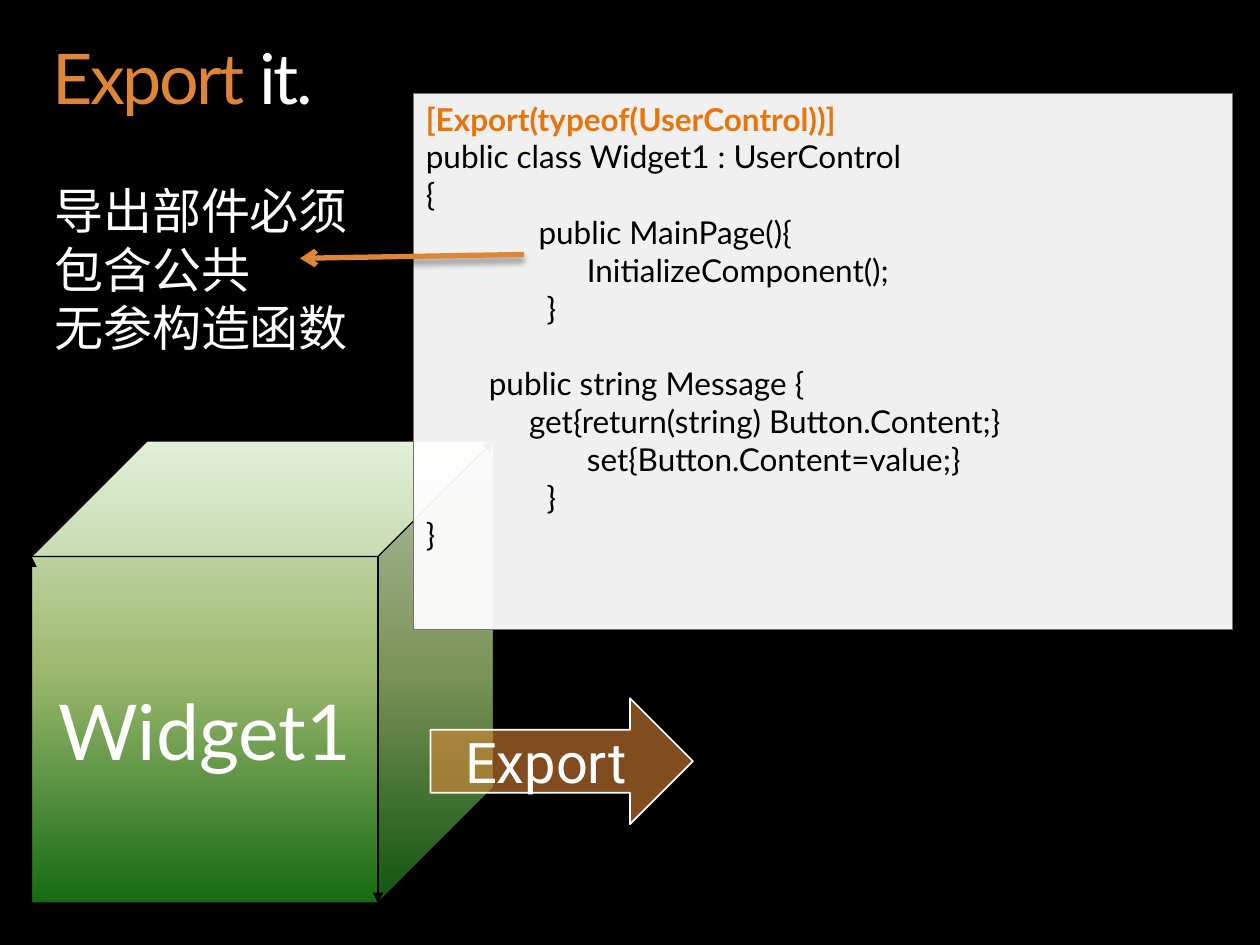
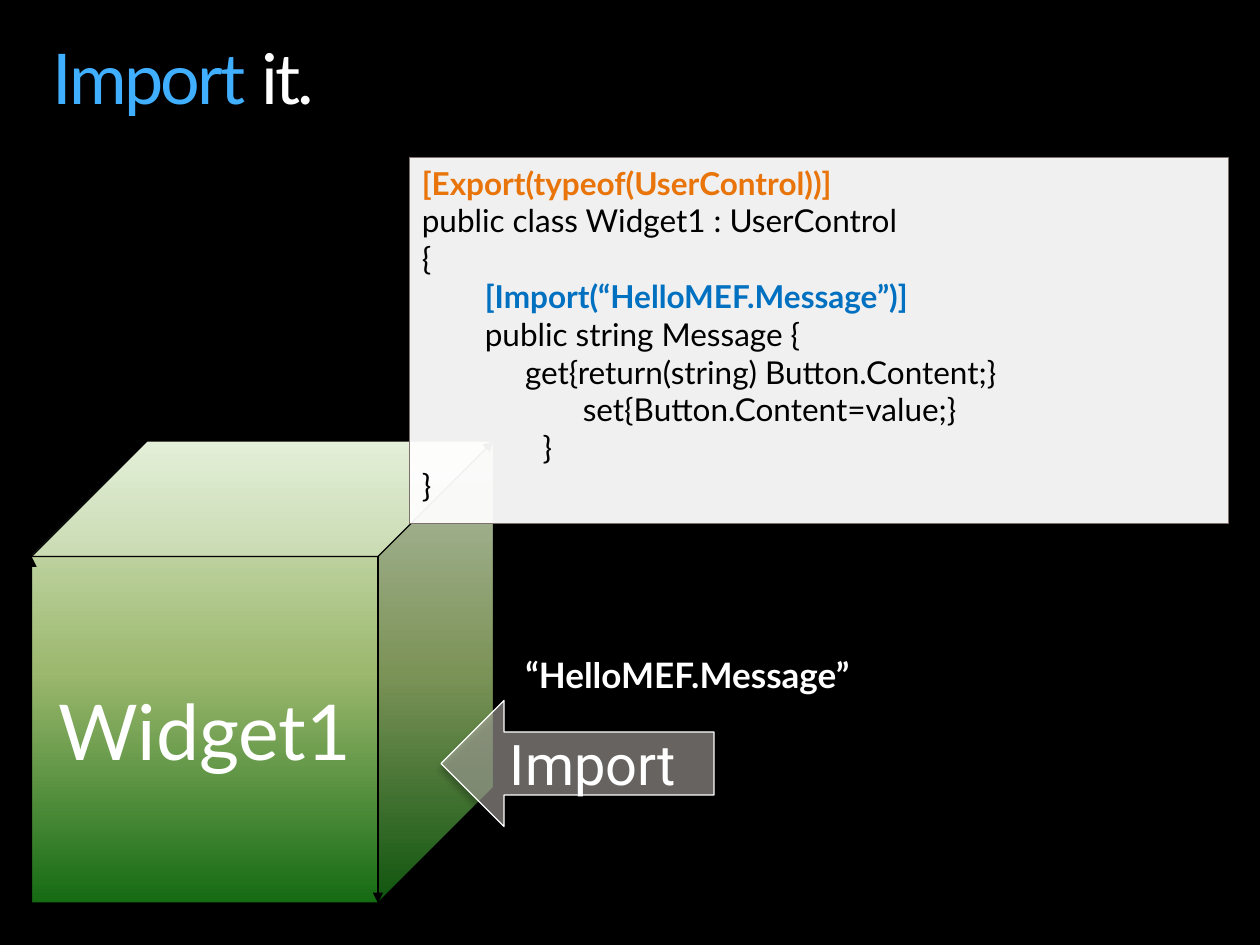
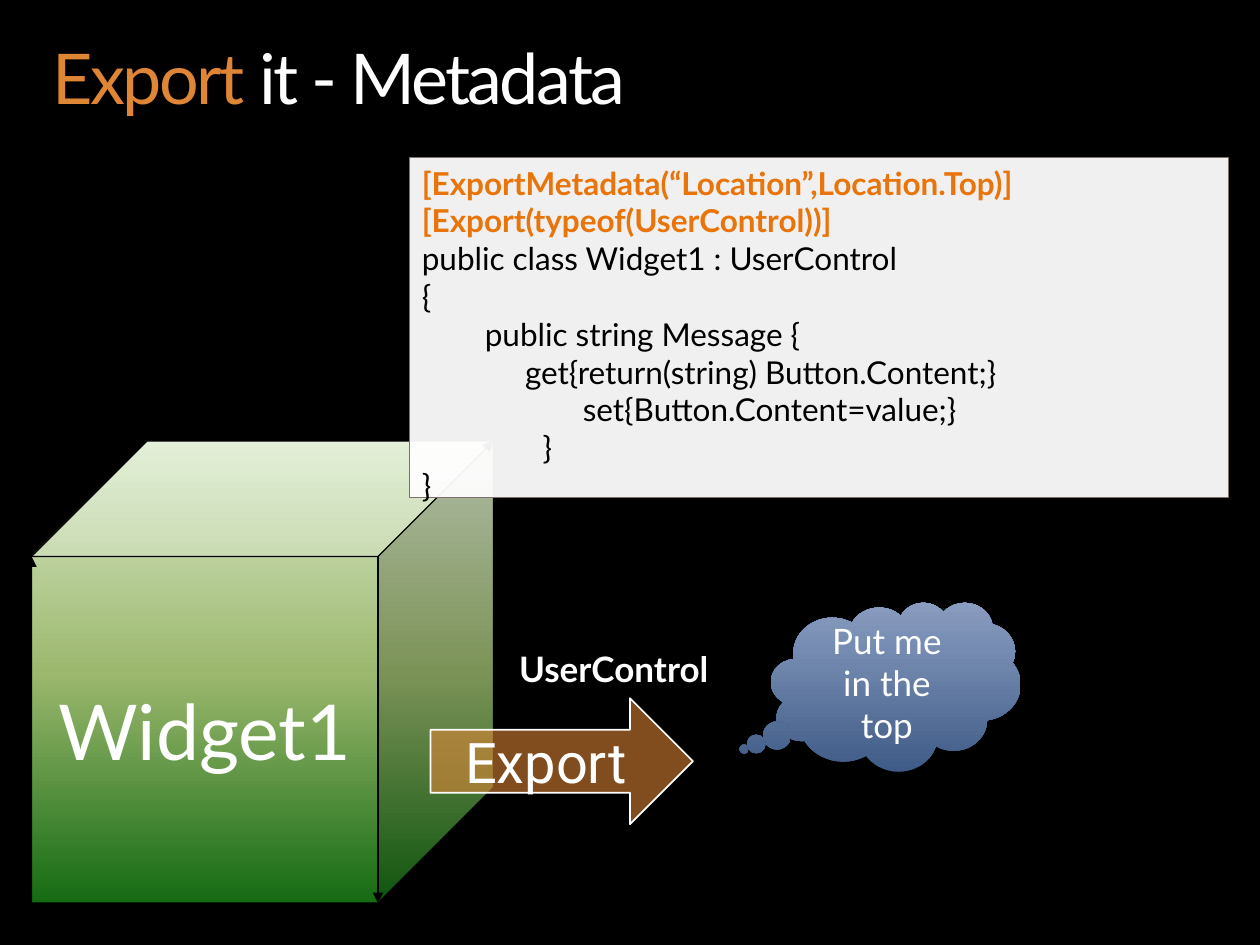
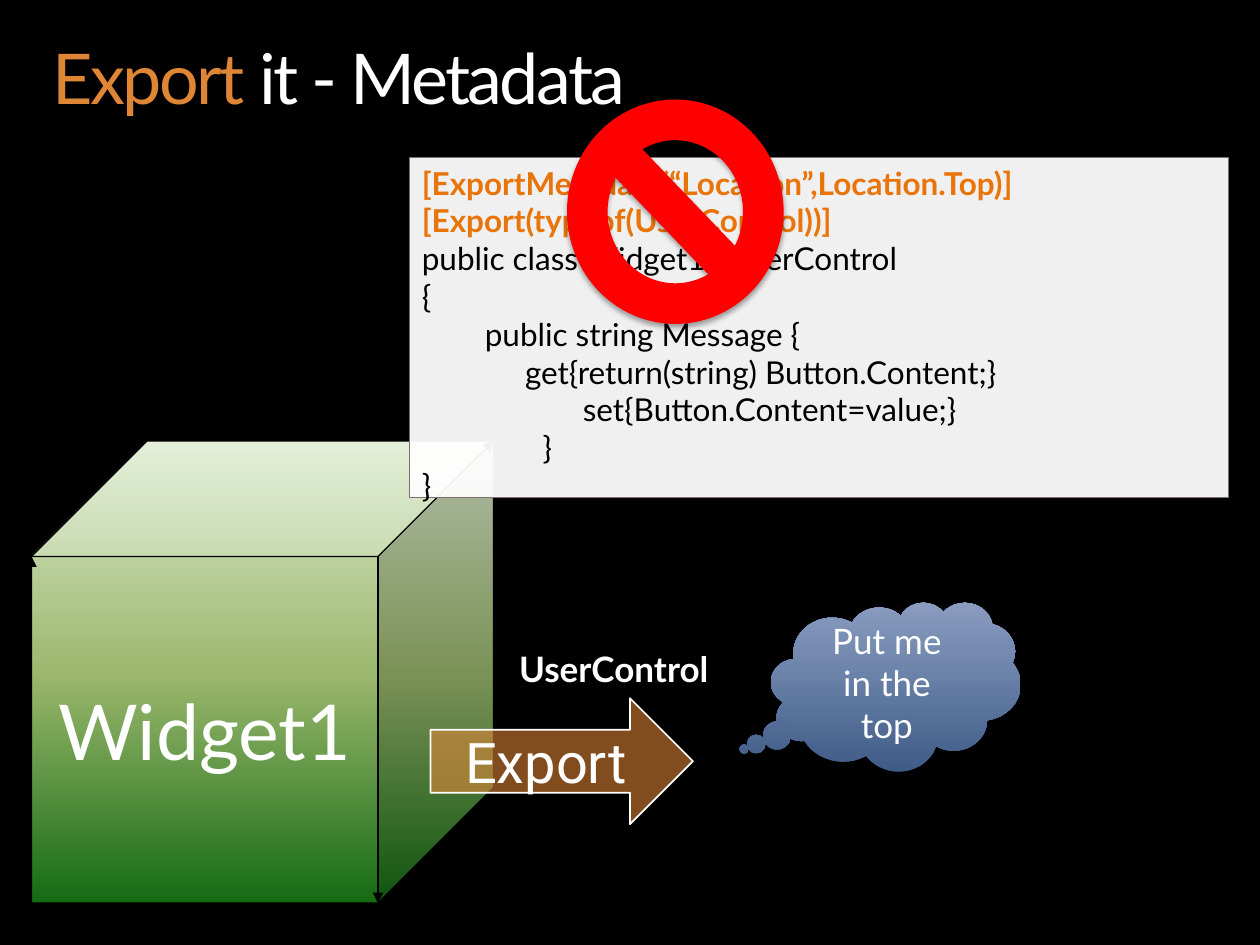
from lxml import etree
from pptx import Presentation
from pptx.dml.color import RGBColor
from pptx.enum.shapes import MSO_CONNECTOR, MSO_SHAPE
from pptx.enum.text import MSO_ANCHOR, MSO_AUTO_SIZE, PP_ALIGN
from pptx.oxml import parse_xml
from pptx.oxml.ns import nsdecls, qn
from pptx.util import Pt

RECTANGLE = MSO_SHAPE.RECTANGLE
CUBE = MSO_SHAPE.CUBE
LEFT_ARROW = MSO_SHAPE.LEFT_ARROW
RIGHT_ARROW = MSO_SHAPE.RIGHT_ARROW
CLOUD = MSO_SHAPE.CLOUD_CALLOUT
NO_SYMBOL = MSO_SHAPE.NO_SYMBOL
STRAIGHT = MSO_CONNECTOR.STRAIGHT
TOP, MIDDLE = MSO_ANCHOR.TOP, MSO_ANCHOR.MIDDLE
LEFT, CENTER = PP_ALIGN.LEFT, PP_ALIGN.CENTER
FIT_SHAPE = MSO_AUTO_SIZE.SHAPE_TO_FIT_TEXT

BLACK, WHITE, RED = "000000", "FFFFFF", "FF0000"
EXPORT, IMPORT = "DF8536", "40AFFF"
EXPORT_CODE, IMPORT_CODE = "E8740A", "0070C0"
IMPORT_ARROW, PANEL_BORDER = "B8B2AE", "7D706D"
CUBE_STOPS = [(0, "DDEBCF"), (50, "9CB86E"), (100, "156B13")]
CLOUD_STOPS = [(0, "3F5B87"), (72, "758BB1"), (100, "8A9CBF")]
STRONG_SHADOW = (43, 4, 3)
SOFT_SHADOW = (35, 3.1, 1.8)
CODE_LINE = 21.6

EXPORT_ATTRIBUTE = ("[Export(typeof(UserControl))]", EXPORT_CODE)
METADATA_ATTRIBUTE = ("[ExportMetadata(“Location”,Location.Top)]", EXPORT_CODE)
IMPORT_ATTRIBUTE = ("\t[Import(“HelloMEF.Message”)]", IMPORT_CODE)
CLASS_OPENING = [("public class Widget1 : UserControl", BLACK), ("{", BLACK)]
CONSTRUCTOR = [
    ("              public MainPage(){", BLACK),
    ("                    InitializeComponent();", BLACK),
    ("               }", BLACK),
]
MESSAGE_PROPERTY = [
    ("\tpublic string Message {", BLACK),
    ("\t     get{return(string) Button.Content;}", BLACK),
    ("                    set{Button.Content=value;}", BLACK),
    ("               }", BLACK),
    ("}", BLACK),
]


def rgb(value):
    return RGBColor.from_string(value)


class Deck:
    font = "Lato"
    arrow_font = "Roboto"

    def __init__(self):
        self.presentation = Presentation()
        self.presentation.slide_width = Pt(720)
        self.presentation.slide_height = Pt(540)
        self.slide = None

    def new_slide(self, keyword, keyword_color, rest):
        self.slide = self.presentation.slides.add_slide(self.presentation.slide_layouts[6])
        background = self.slide.background.fill
        background.solid()
        background.fore_color.rgb = rgb(BLACK)
        frame = self.text_box((30.24, 25.2, 660, 44),
                              [[(keyword, keyword_color), (rest, WHITE)]], 40)
        heading = frame.paragraphs[0]
        heading.line_spacing = 0.9
        for run in heading.runs:
            run.font._element.set("spc", "-150")

    def add_text(self, frame, paragraphs, size, font=None, bold=False, align=LEFT):
        for index, runs in enumerate(paragraphs):
            paragraph = frame.paragraphs[0] if index == 0 else frame.add_paragraph()
            paragraph.alignment = align
            for text, color in runs:
                run = paragraph.add_run()
                run.text = text
                run.font.size = Pt(size)
                run.font.name = font or self.font
                run.font.bold = bold
                run.font.color.rgb = rgb(color)

    def text_box(self, place, paragraphs, size, bold=False, wrap=True):
        frame = self.slide.shapes.add_textbox(*map(Pt, place)).text_frame
        frame.margin_left = frame.margin_top = frame.margin_right = frame.margin_bottom = 0
        frame.word_wrap = wrap
        frame.auto_size = FIT_SHAPE
        self.add_text(frame, paragraphs, size, bold=bold)
        return frame

    def shape(self, preset, place, color, alpha=100, border=None, width=0.75, shadow=None):
        shape = self.slide.shapes.add_shape(preset, *map(Pt, place))
        shape.fill.solid()
        shape.fill.fore_color.rgb = rgb(color)
        if alpha < 100:
            swatch = shape._element.spPr.find(qn("a:solidFill"))[0]
            etree.SubElement(swatch, qn("a:alpha")).set("val", str(alpha * 1000))
        if border:
            shape.line.color.rgb = rgb(border)
            shape.line.width = Pt(width)
        else:
            shape.line.fill.background()
        shape.shadow.inherit = False
        if shadow:
            self.cast_shadow(shape, shadow)
        return shape

    def cast_shadow(self, item, shadow):
        alpha, blur, distance = shadow
        properties = item._element.spPr
        effects = properties.find(qn("a:effectLst"))
        if effects is None:
            effects = etree.SubElement(properties, qn("a:effectLst"))
        effects.append(parse_xml(
            f'<a:outerShdw {nsdecls("a")} blurRad="{Pt(blur)}" dist="{Pt(distance)}" '
            f'dir="5400000" rotWithShape="0"><a:srgbClr val="{BLACK}">'
            f'<a:alpha val="{alpha * 1000}"/></a:srgbClr></a:outerShdw>'))

    def shade(self, shape, stops, angle):
        marks = "".join(f'<a:gs pos="{position * 1000}"><a:srgbClr val="{color}"/></a:gs>'
                        for position, color in stops)
        gradient = parse_xml(
            f'<a:gradFill {nsdecls("a")} rotWithShape="1"><a:gsLst>{marks}</a:gsLst>'
            f'<a:lin ang="{angle * 60000}" scaled="0"/></a:gradFill>')
        properties = shape._element.spPr
        properties.replace(properties.find(qn("a:solidFill")), gradient)

    def arrowhead(self, item, kind):
        outline = item._element.spPr.find(qn("a:ln"))
        etree.SubElement(outline, qn("a:tailEnd")).set("type", kind)

    def label(self, shape, text, size, font=None, wrap=False):
        frame = shape.text_frame
        frame.word_wrap = wrap
        frame.vertical_anchor = MIDDLE
        self.add_text(frame, [[(text, WHITE)]], size, font, align=CENTER)

    def widget(self):
        cube = self.shape(CUBE, (18, 252, 264, 264), WHITE, border=BLACK)
        self.shade(cube, CUBE_STOPS, 90)
        self.arrowhead(cube, "triangle")
        self.label(cube, "Widget1", 44)

    def code_panel(self, place, lines):
        panel = self.shape(RECTANGLE, place, WHITE, 94, PANEL_BORDER)
        frame = panel.text_frame
        frame.word_wrap = True
        frame.vertical_anchor = TOP
        self.add_text(frame, [[line] for line in lines], 18)
        for paragraph, (_, color) in zip(frame.paragraphs, lines):
            paragraph.runs[0].font.bold = color != BLACK
        return frame

    def export_arrow(self):
        arrow = self.shape(RIGHT_ARROW, (246, 399, 150, 72), EXPORT, 58, WHITE, 1)
        self.label(arrow, "Export", 32, self.arrow_font)

    def import_arrow(self):
        arrow = self.shape(LEFT_ARROW, (252, 400.3, 156, 72), IMPORT_ARROW, 56, WHITE,
                           shadow=STRONG_SHADOW)
        self.label(arrow, "Import", 32, self.arrow_font)

    def contract(self, place, name):
        self.text_box(place, [[(name, WHITE)]], 20, bold=True)

    def thought(self, text):
        cloud = self.shape(CLOUD, (440.6, 344.2, 142.6, 96.5), WHITE, shadow=SOFT_SHADOW)
        cloud.adjustments[0] = -0.608
        cloud.adjustments[1] = 0.369
        self.shade(cloud, CLOUD_STOPS, 270)
        self.label(cloud, text, 20, wrap=True)

    def pointer(self, start, end):
        pointer = self.slide.shapes.add_connector(STRAIGHT, *map(Pt, start + end))
        pointer.line.color.rgb = rgb(EXPORT)
        pointer.line.width = Pt(3)
        self.arrowhead(pointer, "arrow")
        self.cast_shadow(pointer, STRONG_SHADOW)


def export_slide(deck):
    deck.new_slide("Export", EXPORT, " it.")
    deck.widget()
    opening = [EXPORT_ATTRIBUTE] + CLASS_OPENING + CONSTRUCTOR
    code = deck.code_panel((236.3, 53.4, 468, 306.5), opening + MESSAGE_PROPERTY)
    code.paragraphs[len(opening)].space_before = Pt(CODE_LINE)
    deck.export_arrow()
    rule = ["导出部件必须", "包含公共", "无参构造函数"]
    deck.text_box((31, 103, 170, 101.5), [[(line, WHITE)] for line in rule], 28, wrap=False)
    deck.pointer((299.5, 145.4), (171.4, 147.6))


def import_slide(deck):
    deck.new_slide("Import", IMPORT, " it.")
    deck.widget()
    deck.code_panel((234, 90, 468, 209.2),
                    [EXPORT_ATTRIBUTE] + CLASS_OPENING + [IMPORT_ATTRIBUTE] + MESSAGE_PROPERTY)
    deck.import_arrow()
    deck.contract((300.2, 373.7, 259, 24.5), "“HelloMEF.Message”")


def metadata_slide(deck):
    deck.new_slide("Export", EXPORT, " it - Metadata")
    deck.widget()
    deck.code_panel((234, 90, 468, 194.4),
                    [METADATA_ATTRIBUTE, EXPORT_ATTRIBUTE] + CLASS_OPENING + MESSAGE_PROPERTY)
    deck.export_arrow()
    deck.contract((296.6, 370, 114.5, 24.5), "UserControl")
    deck.thought("Put me in the top")


def main():
    deck = Deck()
    export_slide(deck)
    import_slide(deck)
    metadata_slide(deck)
    metadata_slide(deck)
    deck.shape(NO_SYMBOL, (324, 56.9, 123.8, 128.2), RED, shadow=SOFT_SHADOW)
    deck.presentation.save("out.pptx")


if __name__ == "__main__":
    main()
